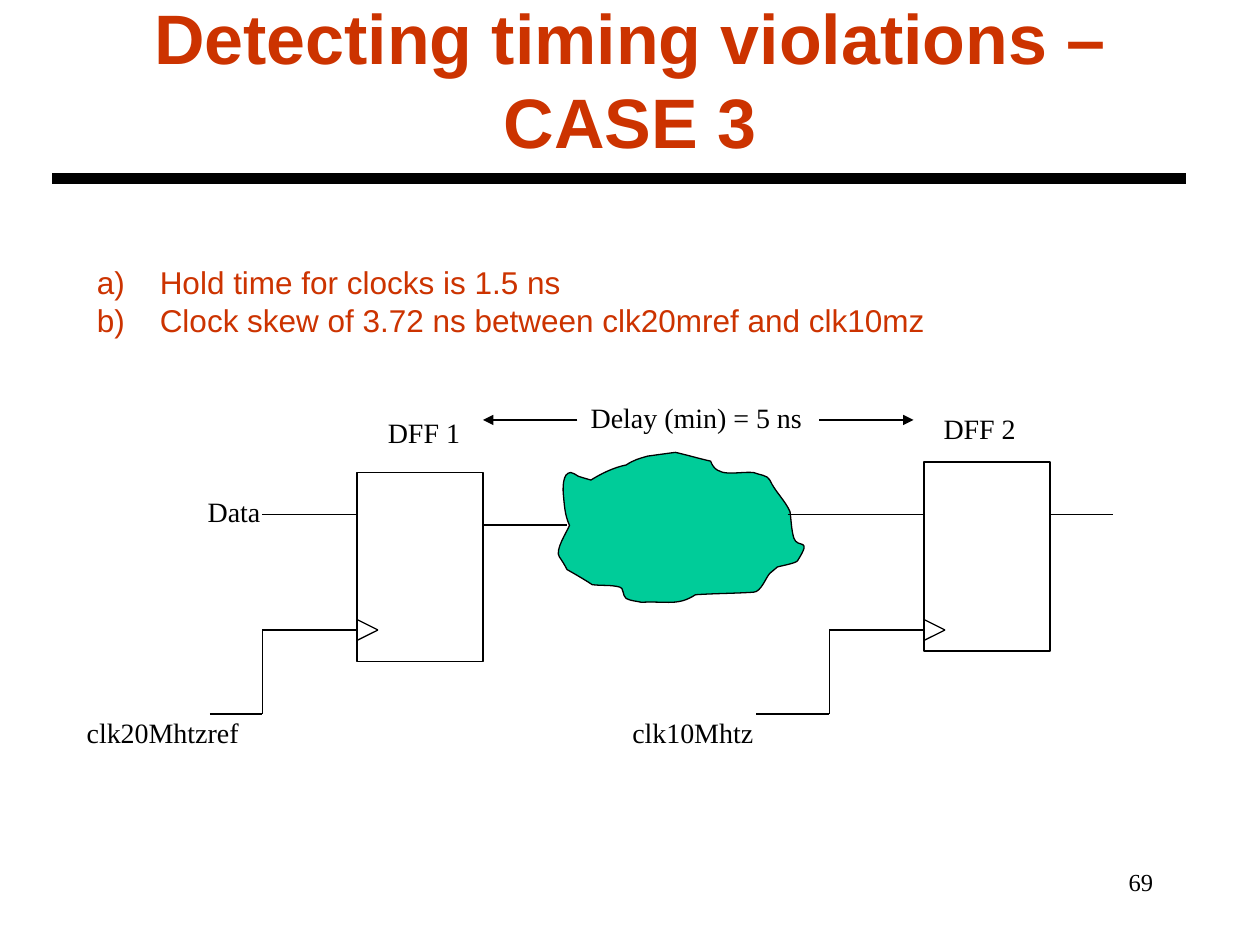
from dataclasses import dataclass

from lxml import etree
from pptx import Presentation
from pptx import util as u
from pptx.dml.color import RGBColor
from pptx.enum import shapes, text
from pptx.oxml import ns


@dataclass(frozen=True)
class Theme:
    accent: RGBColor = RGBColor.from_string("CC3300")
    ink: RGBColor = RGBColor.from_string("000000")
    cloud: RGBColor = RGBColor.from_string("00CC99")
    sans: str = "Arial"
    serif: str = "Times New Roman"
    title: int = 40
    body: int = 18
    label: int = 16
    number: int = 14
    thin: float = 0.75
    thick: float = 6


THEME = Theme()
UNIT = 1 / 12
CLOCK_Y, CLOCK_LOW = 5, 68 * UNIT
DATA_Y, DELAY_Y = 49 * UNIT, 40 * UNIT
FIRST_X, SECOND_X = 34 * UNIT, 88 * UNIT
CELL_WIDTH, CELL_HEIGHT = 1, 1.5

CLOUD_START = (4.52, 4.17)
CLOUD_CURVES = [
    (4.48, 4.08, 4.48, 4.01, 4.47, 3.91),
    (4.47, 3.89, 4.46, 3.75, 4.53, 3.75),
    (4.55, 3.75, 4.57, 3.77, 4.59, 3.78),
    (4.62, 3.79, 4.69, 3.81, 4.69, 3.81),
    (4.77, 3.76, 4.87, 3.71, 4.97, 3.69),
    (5.03, 3.65, 5.07, 3.64, 5.14, 3.62),
    (5.21, 3.61, 5.36, 3.59, 5.36, 3.59),
    (5.45, 3.61, 5.55, 3.64, 5.64, 3.66),
    (5.69, 3.8, 5.84, 3.74, 5.98, 3.75),
    (6.03, 3.77, 6.09, 3.77, 6.11, 3.81),
    (6.15, 3.9, 6.23, 3.97, 6.27, 4.06),
    (6.28, 4.13, 6.28, 4.2, 6.3, 4.27),
    (6.33, 4.36, 6.45, 4.26, 6.33, 4.45),
    (6.32, 4.47, 6.2, 4.49, 6.17, 4.5),
    (6.15, 4.52, 6.13, 4.53, 6.11, 4.55),
    (6.08, 4.58, 6.04, 4.7, 5.98, 4.7),
    (5.83, 4.71, 5.67, 4.71, 5.52, 4.72),
    (5.38, 4.81, 5.3, 4.77, 5.09, 4.78),
    (5.05, 4.77, 5.01, 4.77, 4.97, 4.75),
    (4.94, 4.73, 4.95, 4.66, 4.92, 4.66),
    (4.85, 4.64, 4.78, 4.65, 4.7, 4.64),
    (4.64, 4.6, 4.57, 4.56, 4.5, 4.52),
    (4.48, 4.48, 4.46, 4.45, 4.44, 4.42),
    (4.4, 4.37, 4.5, 4.22, 4.52, 4.17),
]


def apply(target, values):
    for name, value in values.items():
        setattr(target, name, value)


def add_text(page, place, lines, size, font=THEME.serif, color=THEME.ink,
             bold=False, align=text.PP_ALIGN.LEFT, **frame_values):
    box = page.shapes.add_textbox(*map(u.Inches, place))
    apply(box.text_frame, frame_values)
    for index, line in enumerate(lines):
        paras = box.text_frame.paragraphs
        para = box.text_frame.add_paragraph() if index else paras[0]
        para.alignment = align
        span = para.add_run()
        span.text = line
        apply(span.font, {"size": u.Pt(size), "name": font, "bold": bold})
        span.font.color.rgb = color
    return box


def add_label(page, place, words):
    add_text(page, place, [words], THEME.label, word_wrap=False,
             auto_size=text.MSO_AUTO_SIZE.SHAPE_TO_FIT_TEXT)


def add_lettered_list(page, place, lines):
    box = add_text(page, place, lines, THEME.body, THEME.sans, THEME.accent,
                   word_wrap=False)
    for para in box.text_frame.paragraphs:
        props = para._p.get_or_add_pPr()
        props.set("marL", str(u.Inches(0.5)))
        props.set("indent", str(u.Inches(-0.5)))
        color = etree.SubElement(props, ns.qn("a:buClr"))
        etree.SubElement(color, ns.qn("a:srgbClr"), val=str(THEME.accent))
        etree.SubElement(props, ns.qn("a:buFont"), typeface=THEME.sans)
        etree.SubElement(props, ns.qn("a:buAutoNum"), type="alphaLcParenR")


def set_outline(shape, width=THEME.thin):
    shape.line.color.rgb = THEME.ink
    shape.line.width = u.Pt(width)


def add_line(page, start, end, width=THEME.thin, arrow=False):
    line = page.shapes.add_connector(
        shapes.MSO_CONNECTOR.STRAIGHT, *map(u.Inches, (*start, *end)))
    set_outline(line, width)
    if arrow:
        etree.SubElement(line.line._get_or_add_ln(), ns.qn("a:tailEnd"),
                         type="triangle")
    etree.SubElement(line._element.spPr, ns.qn("a:effectLst"))


def add_wire(page, *points):
    for start, end in zip(points, points[1:]):
        add_line(page, start, end)


def add_flip_flop(page, left, top, clock_start):
    cell = page.shapes.add_shape(
        shapes.MSO_SHAPE.RECTANGLE,
        *map(u.Inches, (left, top, CELL_WIDTH, CELL_HEIGHT)))
    cell.shadow.inherit = False
    cell.fill.background()
    set_outline(cell)
    add_wire(page, (left, CLOCK_Y - UNIT), (left + 2 * UNIT, CLOCK_Y),
             (left, CLOCK_Y + UNIT))
    bend = left - 0.75
    add_wire(page, (left, CLOCK_Y), (bend, CLOCK_Y), (bend, CLOCK_LOW))
    add_wire(page, (clock_start, CLOCK_LOW), (bend, CLOCK_LOW))


def curve_segments(shape):
    segments = list(shape._element.iter(ns.qn("a:lnTo")))
    for index in range(0, len(segments), 3):
        curve = etree.Element(ns.qn("a:cubicBezTo"))
        segments[index].addprevious(curve)
        for segment in segments[index:index + 3]:
            curve.append(segment[0])
            segment.getparent().remove(segment)


def add_cloud(page):
    builder = page.shapes.build_freeform(*map(u.Inches, CLOUD_START))
    builder.add_line_segments([
        (u.Inches(curve[index]), u.Inches(curve[index + 1]))
        for curve in CLOUD_CURVES for index in (0, 2, 4)])
    cloud = builder.convert_to_shape()
    curve_segments(cloud)
    cloud.shadow.inherit = False
    cloud.fill.solid()
    cloud.fill.fore_color.rgb = THEME.cloud
    set_outline(cloud)


def main():
    deck = Presentation()
    apply(deck, {"slide_width": u.Inches(10), "slide_height": u.Inches(7.5)})
    page = deck.slides.add_slide(deck.slide_layouts[6])

    add_text(page, (0.75, 0, 8.5, 1.25),
             ["Detecting timing violations – CASE 3"],
             THEME.title, THEME.sans, THEME.accent, True,
             text.PP_ALIGN.CENTER, word_wrap=True,
             vertical_anchor=text.MSO_ANCHOR.MIDDLE)
    rule_y = 17 * UNIT
    add_line(page, (5 * UNIT, rule_y), (113 * UNIT, rule_y), THEME.thick)
    add_lettered_list(page, (0.67, 2.04, 6.77, 1), [
        "Hold time for clocks is 1.5 ns",
        "Clock skew of 3.72 ns between clk20mref and clk10mz"])

    add_flip_flop(page, FIRST_X, 3.75, 20 * UNIT)
    add_wire(page, (FIRST_X + CELL_WIDTH, 50 * UNIT), (4.5, 50 * UNIT))
    add_cloud(page)
    add_flip_flop(page, SECOND_X, 44 * UNIT, 6)
    for start, end in [(25 * UNIT, FIRST_X), (6.25, SECOND_X),
                       (SECOND_X + CELL_WIDTH, 106 * UNIT)]:
        add_wire(page, (start, DATA_Y), (end, DATA_Y))
    for start, end in [(55 * UNIT, FIRST_X + CELL_WIDTH), (6.5, 7.25)]:
        add_line(page, (start, DELAY_Y), (end, DELAY_Y), arrow=True)

    for left, top, width, words in [
            (4.92, 5.63, 1.17, "clk10Mhtz"),
            (0.59, 5.63, 1.43, "clk20Mhtzref"),
            (7.39, 3.22, 0.78, "DFF 2"),
            (2.98, 3.25, 0.78, "DFF 1"),
            (1.55, 3.88, 0.63, "Data"),
            (4.59, 3.13, 1.9, "Delay (min) = 5 ns")]:
        add_label(page, (left, top, width, 0.37), words)
    add_text(page, (7.17, 6.83, 2.08, 0.5), ["69"], THEME.number,
             align=text.PP_ALIGN.RIGHT, word_wrap=True)
    deck.save("out.pptx")


if __name__ == "__main__":
    main()
